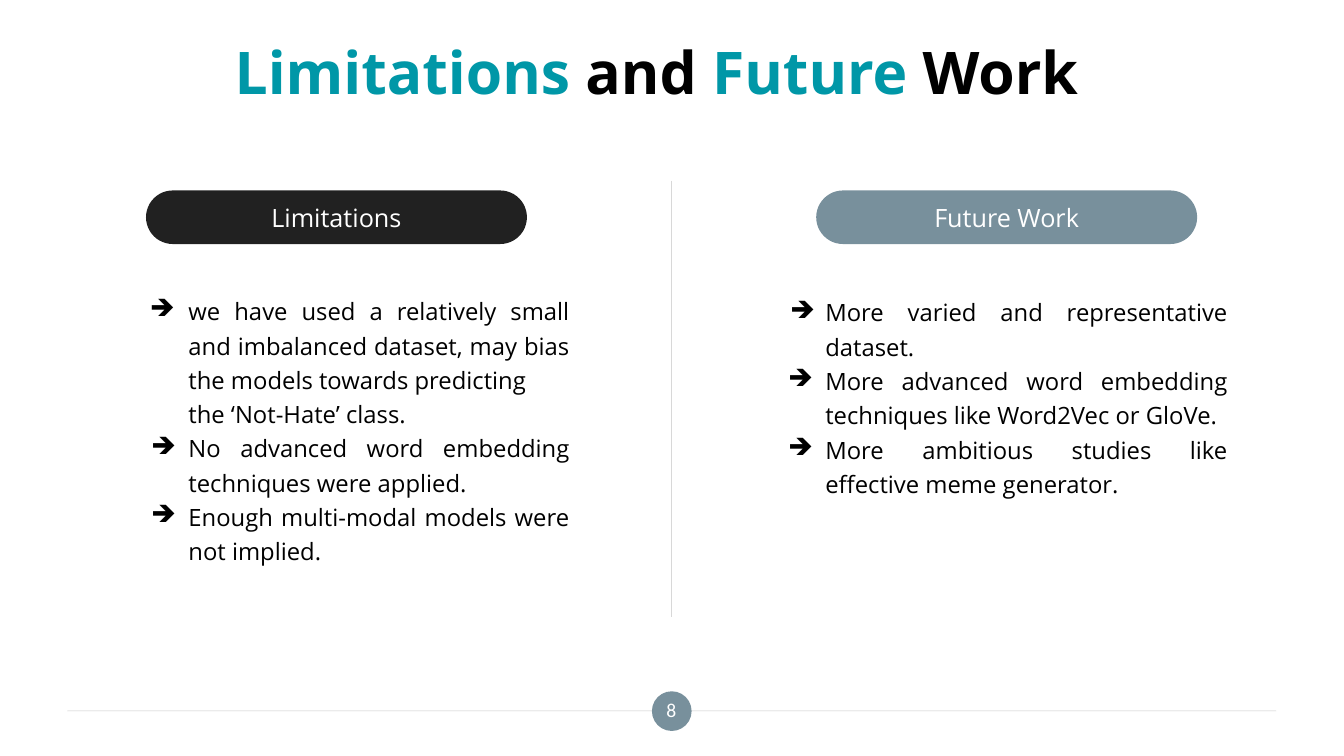
from lxml import etree
from pptx import Presentation
from pptx.dml.color import RGBColor
from pptx.enum.shapes import MSO_CONNECTOR, MSO_SHAPE
from pptx.enum.text import MSO_ANCHOR, PP_ALIGN
from pptx.oxml.ns import qn
from pptx.util import Cm, Pt

LINE = MSO_CONNECTOR.STRAIGHT
PILL = MSO_SHAPE.ROUNDED_RECTANGLE
OVAL = MSO_SHAPE.OVAL
MID, TOP = MSO_ANCHOR.MIDDLE, MSO_ANCHOR.TOP
CENTER, JUST = PP_ALIGN.CENTER, PP_ALIGN.JUSTIFY

TEAL, SLATE, DARK = "0097A7", "78909C", "212121"
GREY, BLACK, WHITE = "D8D8D8", "000000", "FFFFFF"

TITLE = [("Limitations ", TEAL), ("and ", BLACK), ("Future ", TEAL), ("Work", BLACK)]
# Each item: text, hanging indent in cm (0 means no bullet)
LIMITS = [
    ("we have used a relatively small and imbalanced dataset, "
     "may bias the models towards predicting", 0.97),
    ("the ‘Not-Hate’ class.", 0),
    ("No advanced word embedding techniques were applied.", 0.94),
    ("Enough multi-modal models were not implied.", 0.94),
]
FUTURE = [
    ("More varied and representative dataset.", 0.89),
    ("More advanced word embedding techniques like Word2Vec or GloVe.", 0.94),
    ("More ambitious studies like effective meme generator.", 0.94),
]


def paint(color, hue):
    color.rgb = RGBColor.from_string(hue)


def write(para, text, size=18, font="Open Sans", hue=BLACK, bold=False, align=CENTER):
    """Add one formatted run to a paragraph."""
    para.alignment = align
    run = para.add_run()
    run.text = text
    run.font.size = Pt(size)
    run.font.name = font
    run.font.bold = bold
    paint(run.font.color, hue)


def add_box(slide, left, top, width, height, anchor=TOP, pad=(0.25, 0.13)):
    box = slide.shapes.add_textbox(Cm(left), Cm(top), Cm(width), Cm(height))
    frame = box.text_frame
    frame.word_wrap = True
    frame.vertical_anchor = anchor
    frame.margin_left = frame.margin_right = Cm(pad[0])
    frame.margin_top = frame.margin_bottom = Cm(pad[1])
    return frame


def add_form(slide, kind, left, top, width, height, fill):
    form = slide.shapes.add_shape(kind, Cm(left), Cm(top), Cm(width), Cm(height))
    form.shadow.inherit = False
    form.fill.solid()
    paint(form.fill.fore_color, fill)
    form.line.fill.background()
    return form


def add_pill(slide, left, text, fill):
    pill = add_form(slide, PILL, left, 4.8, 9.6, 1.35, fill)
    pill.adjustments[0] = 0.5
    pill.text_frame.vertical_anchor = MID
    write(pill.text_frame.paragraphs[0], text, hue=WHITE)


def add_rule(slide, x1, y1, x2, y2, alpha=100):
    rule = slide.shapes.add_connector(LINE, Cm(x1), Cm(y1), Cm(x2), Cm(y2))
    rule.line.width = Pt(0.75)
    paint(rule.line.color, GREY)
    props = rule._element.spPr
    if alpha < 100:
        tint = props.find(".//" + qn("a:srgbClr"))
        etree.SubElement(tint, qn("a:alpha"), val=str(alpha * 1000))
    etree.SubElement(props, qn("a:effectLst"))


def set_bullet(para, hang):
    """Indent a paragraph and, if it hangs, give it an arrow bullet."""
    props = para._p.get_or_add_pPr()
    props.set("marL", str(Cm(1.27)))
    props.set("indent", str(-Cm(hang)))
    if hang:
        tint = etree.SubElement(props, qn("a:buClr"))
        etree.SubElement(tint, qn("a:srgbClr"), val=BLACK)
        etree.SubElement(props, qn("a:buChar"), char="➔")


def add_list(slide, left, top, width, items):
    frame = add_box(slide, left, top, width, 5.36)
    for i, (text, hang) in enumerate(items):
        para = frame.add_paragraph() if i else frame.paragraphs[0]
        para.line_spacing = 1.2
        set_bullet(para, hang)
        write(para, text, size=17, align=JUST)


def main():
    deck = Presentation()
    deck.slide_width, deck.slide_height = Cm(33.87), Cm(19.05)
    slide = deck.slides.add_slide(deck.slide_layouts[6])

    add_rule(slide, 1.7, 17.91, 32.16, 17.91, alpha=50)
    add_form(slide, OVAL, 16.43, 17.42, 1, 1, SLATE)

    title = add_box(slide, 1.3, 0.79, 30.48, 1.98, MID, (0.33, 0.18))
    for text, hue in TITLE:
        write(title.paragraphs[0], text, size=42, hue=hue, bold=True)
    number = add_box(slide, 16.21, 17.35, 1.42, 1.07, MID, (0.33, 0.18))
    write(number.paragraphs[0], "8", size=14, font="Calibri", hue=WHITE)

    add_rule(slide, 16.92, 4.55, 16.92, 15.54)
    add_pill(slide, 3.68, "Limitations", DARK)
    add_pill(slide, 20.57, "Future Work", SLATE)
    add_list(slide, 3.23, 7.21, 11.38, LIMITS)
    add_list(slide, 19.28, 7.24, 11.91, FUTURE)

    deck.save("out.pptx")


if __name__ == "__main__":
    main()
